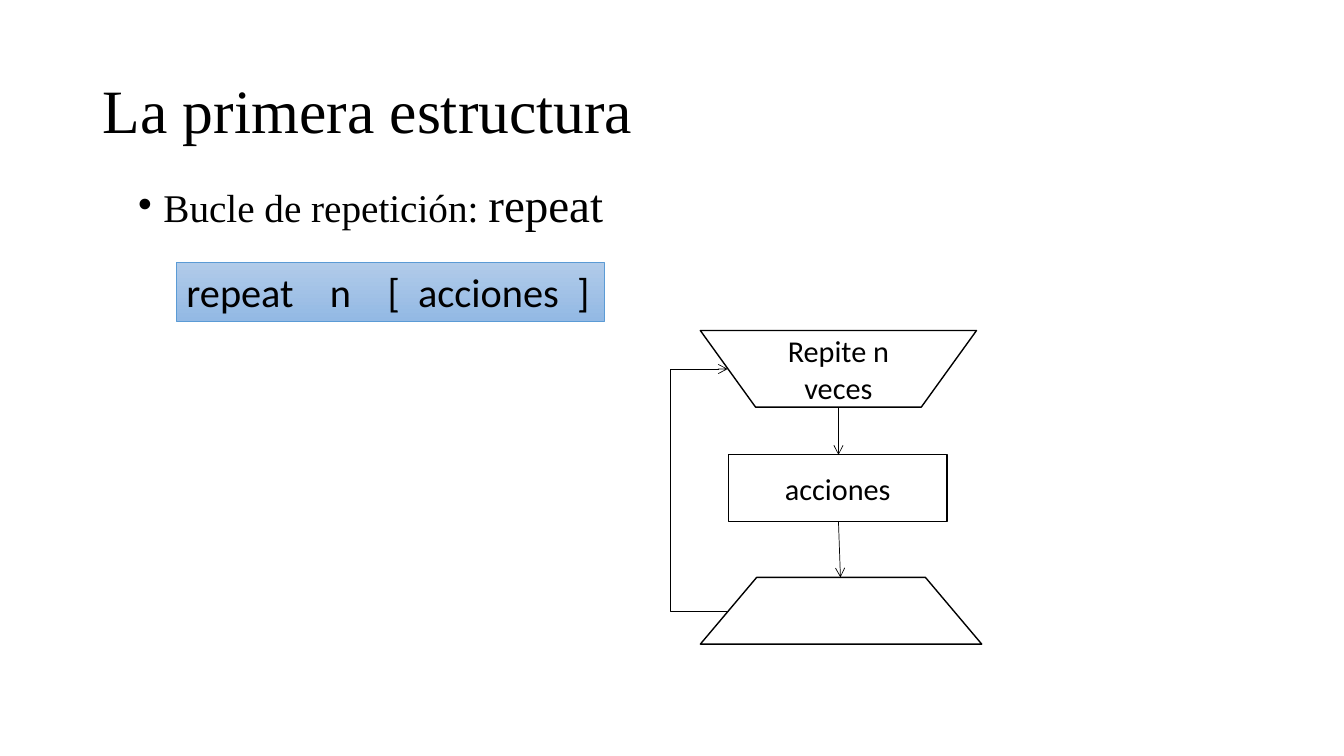
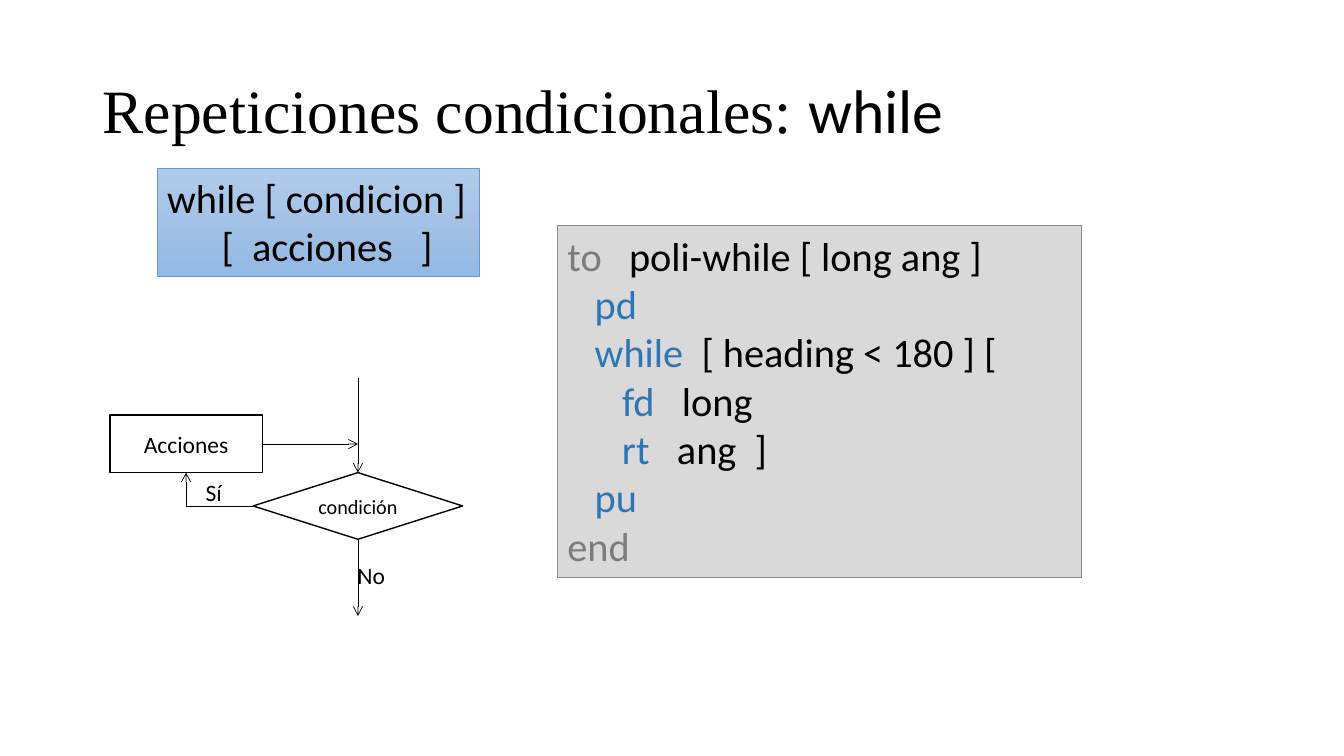
from lxml.etree import SubElement
from pptx import Presentation
from pptx.dml.color import RGBColor
from pptx.enum.shapes import MSO_CONNECTOR as Link, MSO_SHAPE as Shape
from pptx.enum.text import MSO_ANCHOR as Anchor, MSO_AUTO_SIZE as AutoSize, PP_ALIGN as Align
from pptx.oxml.ns import qn
from pptx.util import Cm, Pt

SERIF = "Times New Roman"
SANS = "Calibri"
BLACK = "000000"
WHITE = "FFFFFF"
KEYWORD = "2E75B6"
FRAME = "7C7C7C"
CODE_SIZE = 28.8


def color(value):
    return RGBColor.from_string(value)


class Slides:
    def __init__(self):
        self.deck = Presentation()
        self.deck.slide_width = Cm(33.87)
        self.deck.slide_height = Cm(19.05)
        self.page = None

    def new_page(self, *title):
        self.page = self.deck.slides.add_slide(self.deck.slide_layouts[6])
        box = self.text_box(2.34, 1.02, 29.21, 3.68)
        box.text_frame.vertical_anchor = Anchor.MIDDLE
        self.add_text(box, [title], 44, SERIF).line_spacing = 0.9

    def text_box(self, left, top, width, height):
        box = self.page.shapes.add_textbox(Cm(left), Cm(top), Cm(width), Cm(height))
        box.text_frame.word_wrap = True
        return box

    def add_text(self, box, lines, size, font=SANS, align=Align.LEFT):
        frame = box.text_frame
        for index, line in enumerate(lines):
            para = frame.add_paragraph() if index else frame.paragraphs[0]
            para.alignment = align
            for part in line:
                text, style = part if isinstance(part, tuple) else (part, {})
                span = para.add_run()
                span.text = text
                span.font.size = Pt(style.get("size", size))
                span.font.name = style.get("font", font)
                span.font.color.rgb = color(style.get("color", BLACK))
        return frame.paragraphs[0]

    def bullet(self, left, top, width, height, *parts):
        box = self.text_box(left, top, width, height)
        properties = box.text_frame.paragraphs[0]._p.get_or_add_pPr()
        properties.set("marL", str(Cm(0.64)))
        properties.set("indent", str(-Cm(0.64)))
        SubElement(properties, qn("a:buFont")).set("typeface", "Arial")
        SubElement(properties, qn("a:buChar")).set("char", "•")
        self.add_text(box, [parts], 28, SERIF).line_spacing = 0.9

    def shape(self, kind, left, top, width, height, fill=WHITE, line=BLACK, weight=1):
        shape = self.page.shapes.add_shape(kind, Cm(left), Cm(top), Cm(width), Cm(height))
        shape.shadow.inherit = False
        shape.fill.solid()
        shape.fill.fore_color.rgb = color(fill)
        shape.line.color.rgb = color(line)
        shape.line.width = Pt(weight)
        shape.text_frame.word_wrap = True
        return shape

    def step(self, kind, left, top, width, height, text="", size=21.6):
        step = self.shape(kind, left, top, width, height)
        step.text_frame.vertical_anchor = Anchor.MIDDLE
        if text:
            self.add_text(step, [[text]], size, align=Align.CENTER)
        return step

    def code(self, left, top, width, height, lines, fill, line):
        box = self.shape(Shape.RECTANGLE, left, top, width, height, fill, line, 0.5)
        box.text_frame.vertical_anchor = Anchor.TOP
        box.text_frame.auto_size = AutoSize.SHAPE_TO_FIT_TEXT
        self.add_text(box, lines, CODE_SIZE)
        return box

    def syntax(self, left, top, width, height, *lines):
        box = self.code(left, top, width, height, [[line] for line in lines], WHITE, "5B9BD5")
        box.text_frame.word_wrap = False
        box.fill.gradient()
        box.fill.gradient_angle = 270
        for stop, value in zip(box.fill.gradient_stops, ("B1CBE9", "93B9E4")):
            stop.color.rgb = color(value)

    def label(self, left, top, width, text):
        box = self.text_box(left, top, width, 0.97)
        box.text_frame.word_wrap = False
        self.add_text(box, [[text]], 16.8)

    def arrow(self, start, end, kind=Link.STRAIGHT):
        points = [Cm(value) for value in (*start, *end)]
        arrow = self.page.shapes.add_connector(kind, *points)
        arrow.line.color.rgb = color(BLACK)
        arrow.line.width = Pt(0.5)
        properties = arrow._element.spPr
        SubElement(properties.find(qn("a:ln")), qn("a:tailEnd")).set("type", "arrow")
        SubElement(properties, qn("a:effectLst"))
        return arrow

    def corner_arrow(self, start, end):
        arrow = self.arrow(start, end, Link.ELBOW)
        arrow._element.spPr.find(qn("a:prstGeom")).set("prst", "bentConnector2")

    def loop_arrow(self, start, end, middle):
        arrow = self.arrow(start, end, Link.ELBOW)
        geometry = arrow._element.spPr.find(qn("a:prstGeom"))
        ratio = (middle - start[0]) / (end[0] - start[0])
        guide = SubElement(geometry.find(qn("a:avLst")), qn("a:gd"))
        guide.set("name", "adj1")
        guide.set("fmla", f"val {round(ratio * 100000)}")


def repeat_page(slides):
    slides.new_page("La primera estructura")
    slides.bullet(3.23, 4.45, 27.43, 2.21, "Bucle de repetición: ", ("repeat", {"size": 33.6}))
    slides.syntax(4.45, 6.6, 10.77, 1.5, "repeat    n    [  acciones  ]")
    slides.step(Shape.FLOWCHART_MANUAL_OPERATION, 17.65, 8.33, 6.96, 1.93, "Repite n veces")
    slides.step(Shape.FLOWCHART_PROCESS, 18.36, 11.46, 5.51, 1.68, "acciones")
    loop_end = slides.step(Shape.FLOWCHART_MANUAL_OPERATION, 17.65, 14.55, 7.09, 1.68)
    loop_end.rotation = 180
    slides.arrow((21.13, 10.26), (21.13, 11.46))
    slides.arrow((21.13, 13.14), (21.18, 14.55))
    slides.loop_arrow((18.36, 15.41), (18.34, 9.3), 16.89)


def while_page(slides):
    slides.new_page("Repeticiones condicionales: ", ("while", {"font": SANS}))
    slides.syntax(3.96, 4.24, 8.13, 2.72, "while [ condicion ]", "      [  acciones   ]")
    keyword, frame = {"color": KEYWORD}, {"color": FRAME}
    program = [
        [("to", frame), "   poli-while [ long ang ]"],
        ["   ", ("pd", keyword)],
        ["   ", ("while  ", keyword), "[ heading < 180 ] ["],
        ["      ", ("fd   ", keyword), "long"],
        [("      rt   ", keyword), "ang  ]"],
        ["   ", ("pu", keyword)],
        [("end", frame)],
    ]
    slides.code(14.05, 5.69, 13.21, 8.86, program, "D9D9D9", "8C8C8C")
    slides.step(Shape.FLOWCHART_DECISION, 6.38, 11.91, 5.28, 1.68, "condición", 14.4)
    slides.step(Shape.FLOWCHART_PROCESS, 2.77, 10.46, 3.84, 1.45, "Acciones", 16.8)
    slides.corner_arrow((6.38, 12.75), (4.69, 11.91))
    slides.arrow((9.02, 9.53), (9.02, 11.91))
    slides.arrow((9.02, 13.59), (9.02, 15.52))
    slides.arrow((6.61, 11.19), (9.02, 11.19))
    slides.label(8.76, 14.02, 1.22, "No")
    slides.label(4.93, 11.91, 0.91, "Sí")


def main():
    slides = Slides()
    repeat_page(slides)
    while_page(slides)
    slides.deck.save("out.pptx")


if __name__ == "__main__":
    main()
